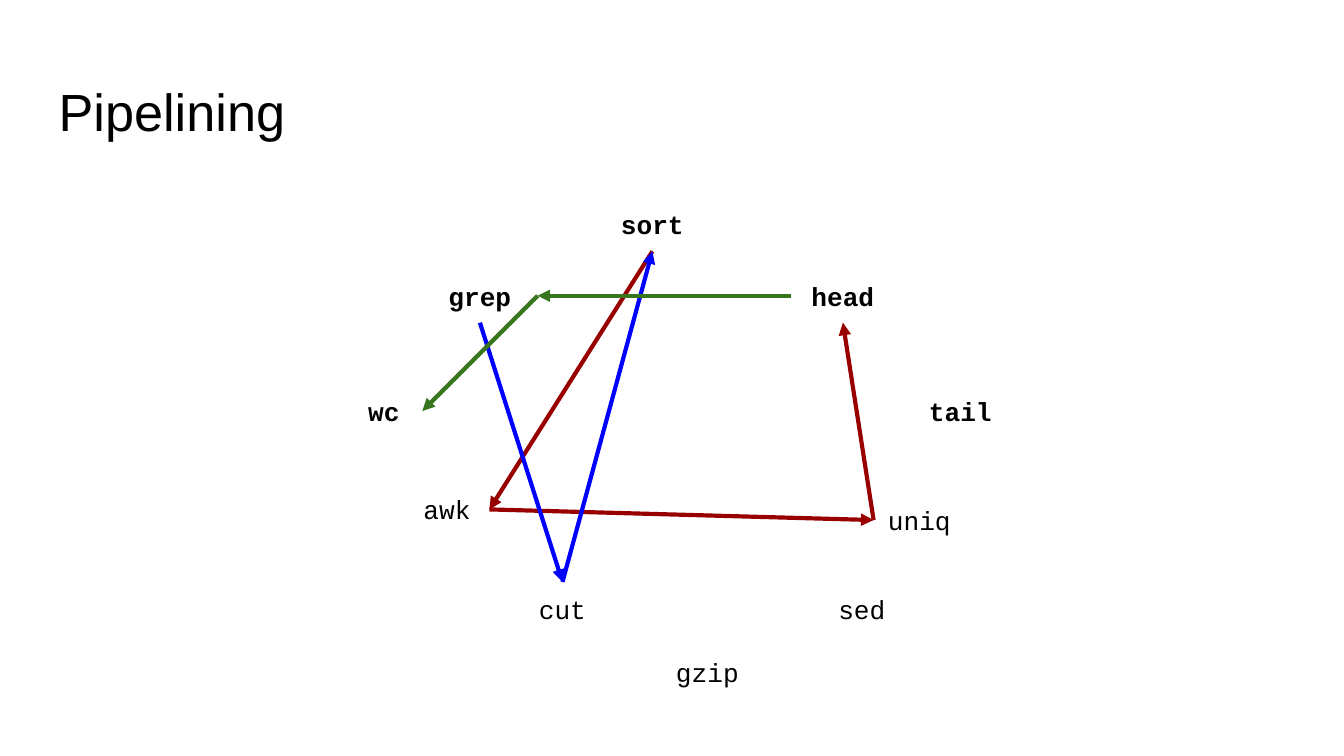
from dataclasses import dataclass

from lxml import etree
from pptx import Presentation
from pptx.dml.color import RGBColor
from pptx.enum.shapes import MSO_CONNECTOR
from pptx.enum.text import MSO_ANCHOR, PP_ALIGN
from pptx.oxml.ns import qn
from pptx.util import Cm, Pt

STRAIGHT = MSO_CONNECTOR.STRAIGHT
TOP_ANCHOR, MIDDLE = MSO_ANCHOR.TOP, MSO_ANCHOR.MIDDLE
ALIGN_LEFT, CENTER = PP_ALIGN.LEFT, PP_ALIGN.CENTER

# Connection sites of a rectangle
TOP, LEFT, BOTTOM, RIGHT = range(4)


@dataclass(frozen=True)
class Theme:
    ink: RGBColor = RGBColor(0x00, 0x00, 0x00)
    red: RGBColor = RGBColor(0x98, 0x00, 0x00)
    blue: RGBColor = RGBColor(0x00, 0x00, 0xFF)
    green: RGBColor = RGBColor(0x38, 0x76, 0x1D)
    title_font: str = "Arial"
    code_font: str = "Courier New"
    title_size: Pt = Pt(28)
    code_size: Pt = Pt(14)
    line_width: Pt = Pt(2.25)


theme = Theme()


def add_text(shapes, text, left, top, width, height, *, font=theme.code_font,
             size=theme.code_size, bold=False, align=CENTER, anchor=MIDDLE):
    box = shapes.add_textbox(Cm(left), Cm(top), Cm(width), Cm(height))
    frame = box.text_frame
    frame.word_wrap = True
    frame.vertical_anchor = anchor
    frame.margin_left = frame.margin_right = Cm(0.25)
    frame.margin_top = frame.margin_bottom = Cm(0.25)
    para = frame.paragraphs[0]
    para.alignment = align
    span = para.add_run()
    span.text = text
    span.font.name = font
    span.font.size = size
    span.font.bold = bold
    span.font.color.rgb = theme.ink
    return box


def add_arrow(shapes, start, start_site, end, end_site, color):
    """Draw an arrow glued to one connection site of each box."""
    points = []
    for box, site in ((start, start_site), (end, end_site)):
        across = {LEFT: 0, RIGHT: box.width}.get(site, box.width // 2)
        down = {TOP: 0, BOTTOM: box.height}.get(site, box.height // 2)
        points += [box.left + across, box.top + down]
    arrow = shapes.add_connector(STRAIGHT, *points)
    arrow.begin_connect(start, start_site)
    arrow.end_connect(end, end_site)
    arrow.line.color.rgb = color
    arrow.line.width = theme.line_width
    etree.SubElement(arrow.line._get_or_add_ln(), qn("a:tailEnd"), type="triangle")
    etree.SubElement(arrow._element.spPr, qn("a:effectLst"))


deck = Presentation()
deck.slide_width, deck.slide_height = Cm(25.4), Cm(14.29)
page = deck.slides.add_slide(deck.slide_layouts[6])

add_text(page.shapes, "Pipelining", 0.86, 1.24, 23.67, 1.6, font=theme.title_font,
         size=theme.title_size, align=ALIGN_LEFT, anchor=TOP_ANCHOR)

# Command name, left, top, width, bold
commands = [
    ("sort", 10.87, 3.73, 2.92, True),
    ("grep", 7.98, 5.08, 2.18, True),
    ("head", 14.94, 5.08, 1.98, True),
    ("tail", 16.69, 7.26, 2.92, True),
    ("wc", 6.53, 7.26, 1.45, True),
    ("awk", 7.65, 9.12, 1.6, False),
    ("sed", 14.83, 11, 2.92, False),
    ("cut", 9.17, 11, 2.92, False),
    ("uniq", 16.51, 9.32, 1.73, False),
    ("gzip", 11.91, 12.19, 2.92, False),
]
command_group = page.shapes.add_group_shape()
boxes = {
    name: add_text(command_group.shapes, name, left, top, width, 1.02, bold=bold)
    for name, left, top, width, bold in commands
}

# Each pipeline is a chain of arrows: from, its site, to, its site
red_group = page.shapes.add_group_shape()
pipelines = [
    (red_group.shapes, theme.red, [
        ("sort", BOTTOM, "awk", RIGHT),
        ("awk", RIGHT, "uniq", LEFT),
        ("uniq", LEFT, "head", BOTTOM),
    ]),
    (page.shapes, theme.blue, [
        ("grep", BOTTOM, "cut", TOP),
        ("cut", TOP, "sort", BOTTOM),
    ]),
    (page.shapes, theme.green, [
        ("head", LEFT, "grep", RIGHT),
        ("grep", RIGHT, "wc", RIGHT),
    ]),
]
for shapes, color, steps in pipelines:
    for start, start_site, end, end_site in steps:
        add_arrow(shapes, boxes[start], start_site, boxes[end], end_site, color)

deck.save("out.pptx")
